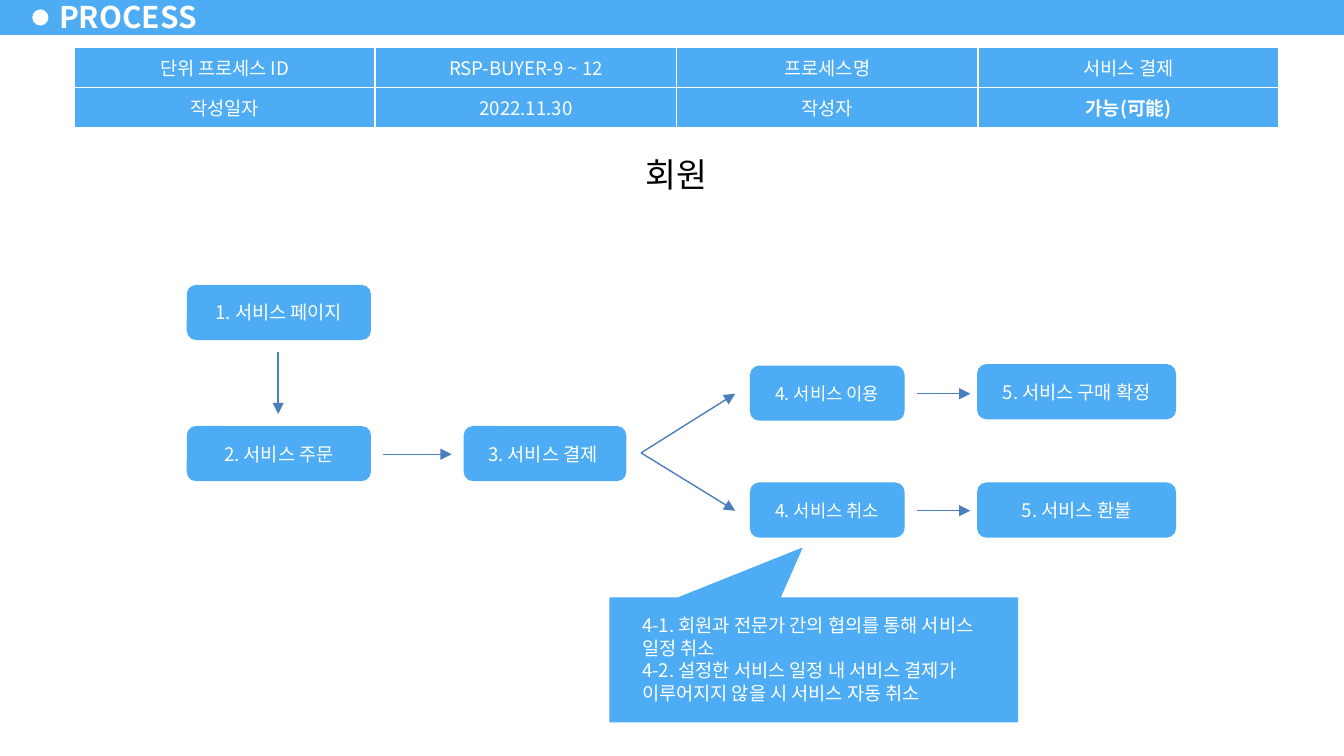
from pptx import Presentation
from pptx.dml.color import RGBColor
from pptx.enum.shapes import MSO_CONNECTOR as CONN, MSO_SHAPE as SHAPE
from pptx.enum.text import MSO_ANCHOR as ANCHOR, PP_ALIGN as ALIGN
from pptx.oxml import parse_xml
from pptx.oxml.ns import nsdecls, qn
from pptx.util import Inches, Pt

COLORS = {"blue": "4DACF3", "white": "FFFFFF", "black": "000000", "arrow": "4B7EBC"}
FONT = "Noto Sans CJK KR"


def rgb(name):
    return RGBColor.from_string(COLORS[name])


def inches(*values):
    return [Inches(v) for v in values]


class Deck:
    def __init__(self, slide):
        self.s = slide

    def style(self, tf, size, color="white", bold=False, align=ALIGN.CENTER):
        for p in tf.paragraphs:
            p.alignment = align
            for r in p.runs:
                r.font.size = Pt(size)
                r.font.bold = bold
                r.font.name = FONT
                r.font.color.rgb = rgb(color)
                ea = parse_xml(f'<a:ea {nsdecls("a")} typeface="{FONT}"/>')
                r.font._element.find(qn("a:latin")).addnext(ea)

    def shape(self, kind, at, fill="blue", line=None):
        sp = self.s.shapes.add_shape(kind, *inches(*at))
        sp.shadow.inherit = False
        sp.fill.solid()
        sp.fill.fore_color.rgb = rgb(fill)
        if line:
            sp.line.color.rgb = rgb(line)
            sp.line.width = Pt(0.75)
        else:
            sp.line.fill.background()
        return sp

    def label(self, sp, text, size, color="white"):
        tf = sp.text_frame
        tf.word_wrap = True
        tf.vertical_anchor = ANCHOR.MIDDLE
        tf.text = text
        self.style(tf, size, color)

    def step(self, text, x, y, width, size=10):
        self.label(self.shape(SHAPE.ROUNDED_RECTANGLE, (x, y, width, 0.41)), text, size)

    def text(self, lines, at, size, bold=False, anchor=ANCHOR.TOP):
        tf = self.s.shapes.add_textbox(*inches(*at)).text_frame
        tf.word_wrap = True
        tf.vertical_anchor = anchor
        tf.text = "\n".join(lines)
        self.style(tf, size, bold=bold, align=ALIGN.LEFT)
        return tf

    def arrow(self, start, end):
        c = self.s.shapes.add_connector(CONN.STRAIGHT, *inches(*start, *end))
        c.line.color.rgb = rgb("arrow")
        c.line.width = Pt(0.75)
        c.line._get_or_add_ln().append(
            parse_xml(f'<a:tailEnd {nsdecls("a")} type="triangle"/>'))
        c._element.spPr.append(parse_xml(f'<a:effectLst {nsdecls("a")}/>'))

    def border(self, cell):
        tcPr = cell._tc.get_or_add_tcPr()
        for i, side in enumerate(("lnL", "lnR", "lnT", "lnB")):
            tcPr.insert(i, parse_xml(
                f'<a:{side} {nsdecls("a")} w="{Pt(1)}"><a:solidFill>'
                f'<a:srgbClr val="{COLORS["white"]}"/></a:solidFill></a:{side}>'))

    def table(self, rows, at, bold_text):
        frame = self.s.shapes.add_table(len(rows), len(rows[0]), *inches(*at))
        for r, row in enumerate(rows):
            for c, text in enumerate(row):
                cell = frame.table.cell(r, c)
                cell.fill.solid()
                cell.fill.fore_color.rgb = rgb("blue")
                cell.vertical_anchor = ANCHOR.MIDDLE
                cell.text_frame.text = text
                self.style(cell.text_frame, 10, bold=text == bold_text)
                self.border(cell)


def main():
    prs = Presentation()
    prs.slide_width = Inches(10)
    prs.slide_height = prs.slide_width * 9 // 16
    deck = Deck(prs.slides.add_slide(prs.slide_layouts[6]))

    deck.shape(SHAPE.RECTANGLE, (0, -0.02, 10, 0.28))
    deck.shape(SHAPE.OVAL, (0.24, 0.07, 0.12, 0.12), "white")
    title = deck.text(["PROCESS"], (0.35, -0.04, 1.22, 0.32), 16, True, ANCHOR.MIDDLE)
    title.margin_left = title.margin_right = Inches(0.09)
    title.margin_top = title.margin_bottom = Inches(0.04)

    deck.table([
        ["단위 프로세스 ID", "RSP-BUYER-9 ~ 12", "프로세스명", "서비스 결제"],
        ["작성일자", "2022.11.30", "작성자", "가능(可能)"],
    ], (0.55, 0.35, 8.97, 0.6), "가능(可能)")

    heading = deck.shape(SHAPE.RECTANGLE, (3.25, 1.09, 3.57, 0.41), "white")
    deck.label(heading, "회원", 18, "black")

    deck.step("1. 서비스 페이지", 1.39, 2.12, 1.37)
    deck.step("2. 서비스 주문", 1.39, 3.17, 1.37)
    deck.step("3. 서비스 결제 ", 3.45, 3.17, 1.21)
    deck.arrow((2.07, 2.62), (2.07, 3.08))
    deck.arrow((2.85, 3.38), (3.36, 3.38))

    branches = [
        (2.72, "4. 서비스 이용", 2.71, "5. 서비스 구매 확정"),
        (3.59, "4. 서비스 취소", 3.59, "5. 서비스 환불"),
    ]
    for y, choice, result_y, result in branches:
        middle = y + 0.21
        deck.step(choice, 5.58, y, 1.15, 9.5)
        deck.step(result, 7.27, result_y, 1.48)
        deck.arrow((4.77, 3.37), (5.47, middle))
        deck.arrow((6.82, middle), (7.22, middle))

    callout = deck.shape(SHAPE.RECTANGULAR_CALLOUT, (4.54, 4.45, 3.03, 0.92), line="blue")
    callout.adjustments[0] = -0.03
    callout.adjustments[1] = -0.9
    deck.text([
        "4-1. 회원과 전문가 간의 협의를 통해 서비스 일정 취소",
        "4-2. 설정한 서비스 일정 내 서비스 결제가 이루어지지 않을 시 서비스 자동 취소",
    ], (4.68, 4.52, 2.79, 0.85), 10)

    prs.save("out.pptx")


if __name__ == "__main__":
    main()
